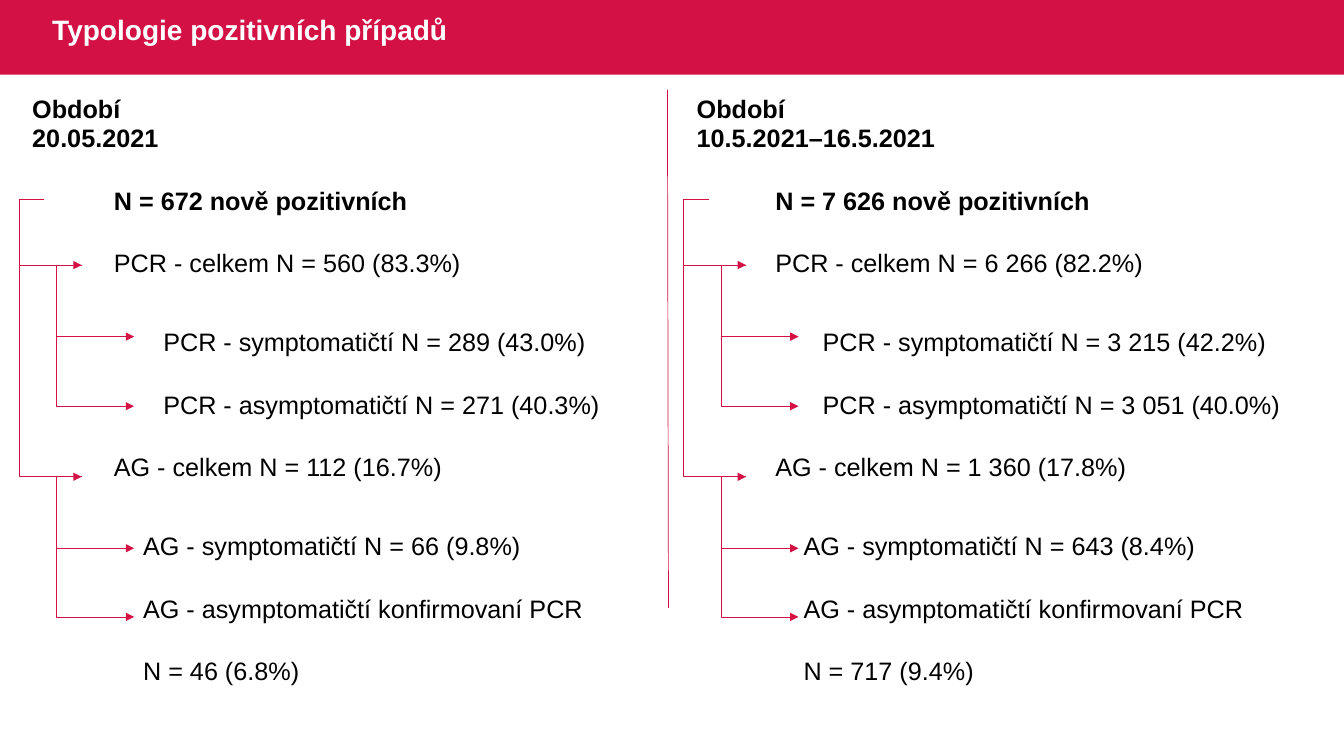
from lxml import etree
from pptx import Presentation
from pptx.dml.color import RGBColor
from pptx.enum.shapes import MSO_CONNECTOR, MSO_SHAPE
from pptx.enum.text import MSO_ANCHOR
from pptx.oxml.ns import qn
from pptx.util import Emu, Pt

PX = 9144  # 100 px to the inch
STRAIGHT, ELBOW = MSO_CONNECTOR.STRAIGHT, MSO_CONNECTOR.ELBOW
TOP, MIDDLE, BOTTOM = MSO_ANCHOR.TOP, MSO_ANCHOR.MIDDLE, MSO_ANCHOR.BOTTOM
CRIMSON, BLACK, WHITE = "D31145", "000000", "FFFFFF"
FONT = "Arial"
NO_STYLE_NO_GRID = "{2D5ABB26-0587-4C30-8999-92F81FD0307C}"
ROW_HEIGHT = 62
LAST_COLUMN = 3
ELBOW_REACH = 25  # how far an elbow runs left of its start

# First text column, last column of the leading empty merge, anchor, bold
ROW_LAYOUT = [
    (0, 0, BOTTOM, True),
    (0, 0, TOP, True),
    (1, 0, TOP, True),
    (1, 0, TOP, False),
    (3, 2, MIDDLE, False),
    (3, 2, MIDDLE, False),
    (1, 0, MIDDLE, False),
    (2, 0, BOTTOM, False),
    (2, 0, BOTTOM, False),
    (2, 0, BOTTOM, False),
]
LEFT_TEXTS = [
    "Období",
    "20.05.2021",
    "N = 672 nově pozitivních",
    "PCR - celkem N = 560 (83.3%)",
    "PCR - symptomatičtí N = 289 (43.0%)",
    "PCR - asymptomatičtí N = 271 (40.3%)",
    "AG - celkem N = 112 (16.7%)",
    "AG - symptomatičtí N = 66 (9.8%)",
    "AG - asymptomatičtí konfirmovaní PCR",
    "N = 46 (6.8%)",
]
RIGHT_TEXTS = [
    "Období",
    "10.5.2021–16.5.2021",
    "N = 7 626 nově pozitivních",
    "PCR - celkem N = 6 266 (82.2%)",
    "PCR - symptomatičtí N = 3 215 (42.2%)",
    "PCR - asymptomatičtí N = 3 051 (40.0%)",
    "AG - celkem N = 1 360 (17.8%)",
    "AG - symptomatičtí N = 643 (8.4%)",
    "AG - asymptomatičtí konfirmovaní PCR",
    "N = 717 (9.4%)",
]
# Start x, start y, end x, end y, with x measured from the trunk line
BRANCHES = [
    (25, 198, 62, 473),
    (62, 263, 114, 334),
    (62, 263, 114, 403),
    (62, 473, 114, 544),
    (62, 473, 114, 612),
    (25, 198, 62, 263),
]


def px(length):
    return Emu(length * PX)


def color(hex_code):
    return RGBColor.from_string(hex_code)


def set_font(para, size, hex_code, bold):
    font = para.font
    font.name, font.size, font.bold = FONT, Pt(size), bold
    font.color.rgb = color(hex_code)


def add_title_bar(page, text):
    bar = page.shapes.add_shape(MSO_SHAPE.RECTANGLE, 0, 0, px(1333), px(74))
    bar.shadow.inherit = False
    bar.fill.solid()
    bar.fill.fore_color.rgb = color(CRIMSON)
    bar.line.fill.background()
    box = page.shapes.add_textbox(px(42), 0, px(697), px(63))
    frame = box.text_frame
    frame.word_wrap = True
    frame.vertical_anchor = MIDDLE
    para = frame.paragraphs[0]
    para.text = text
    para.line_spacing = 0.9
    set_font(para, 20, WHITE, True)


def add_line(shapes, kind, start_x, start_y, end_x, end_y):
    line = shapes.add_connector(kind, px(start_x), px(start_y), px(end_x), px(end_y))
    line.line.color.rgb = color(CRIMSON)
    line.line.width = Pt(0.5)
    etree.SubElement(line._element.spPr, qn("a:effectLst"))
    return line


def add_branch(shapes, start_x, start_y, end_x, end_y):
    """Add an arrow that runs left, down and then right to its end."""
    branch = add_line(shapes, ELBOW, start_x, start_y, end_x, end_y)
    etree.SubElement(branch.line._get_or_add_ln(), qn("a:tailEnd"), type="triangle")
    guides = branch._element.spPr.find(qn("a:prstGeom")).find(qn("a:avLst"))
    bend = round(-ELBOW_REACH / (end_x - start_x) * 100000)
    etree.SubElement(guides, qn("a:gd"), name="adj1", fmla=f"val {bend}")


def add_tree(page, trunk_x):
    group = page.shapes.add_group_shape()
    for start_x, start_y, end_x, end_y in BRANCHES:
        add_branch(group.shapes, trunk_x + start_x, start_y, trunk_x + end_x, end_y)


def add_case_table(page, left, widths, texts):
    frame = page.shapes.add_table(len(texts), len(widths), px(left), px(61),
                                  px(sum(widths)), px(ROW_HEIGHT * len(texts)))
    table = frame.table
    table.first_row = table.horz_banding = False
    table._tbl.tblPr.find(qn("a:tableStyleId")).text = NO_STYLE_NO_GRID
    for column, width in zip(table.columns, widths):
        column.width = px(width)
    for cell in table.iter_cells():
        cell.fill.background()
    for row, (text, layout) in enumerate(zip(texts, ROW_LAYOUT)):
        first, gap_end, anchor, bold = layout
        if gap_end:
            table.cell(row, 1).merge(table.cell(row, gap_end))
        cell = table.cell(row, first)
        if first < LAST_COLUMN:
            cell.merge(table.cell(row, LAST_COLUMN))
        cell.margin_left = cell.margin_right = cell.margin_top = px(1)
        cell.margin_bottom = 0
        cell.vertical_anchor = anchor
        para = cell.text_frame.paragraphs[0]
        para.text = text
        set_font(para, 18, BLACK, bold)


def main():
    deck = Presentation()
    deck.slide_width, deck.slide_height = px(1333), px(750)
    page = deck.slides.add_slide(deck.slide_layouts[6])
    add_title_bar(page, "Typologie pozitivních případů")
    add_line(page.shapes, STRAIGHT, 662, 89, 663, 603)
    add_case_table(page, 31, [81, 29, 20, 531], LEFT_TEXTS)
    add_tree(page, 19)
    add_case_table(page, 690, [78, 28, 19, 510], RIGHT_TEXTS)
    add_tree(page, 678)
    deck.save("out.pptx")


if __name__ == "__main__":
    main()
